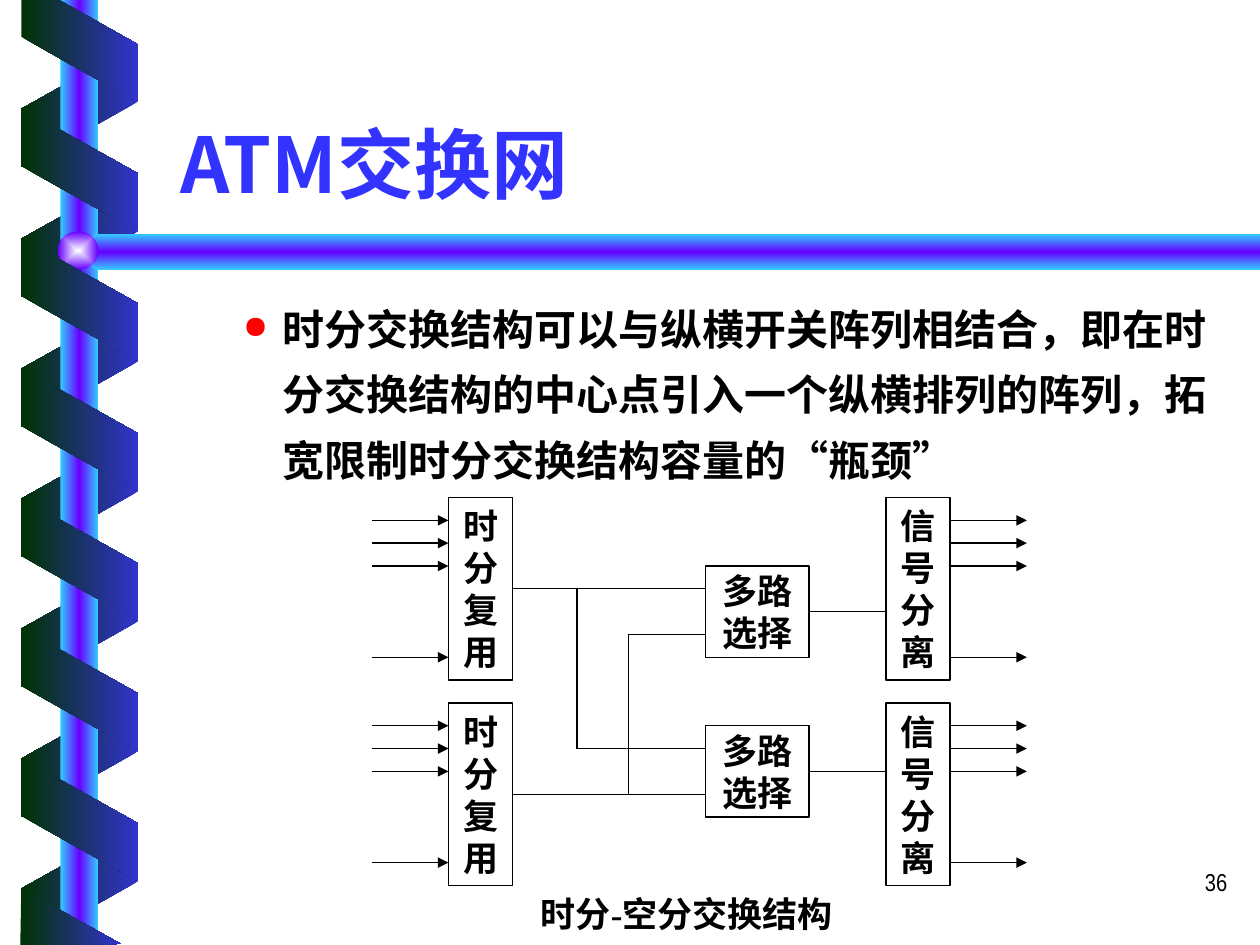
"""Build the slide on the time-space division structure of an ATM switching network."""
from lxml.etree import SubElement
from pptx import Presentation
from pptx.dml.color import RGBColor
from pptx.enum.shapes import MSO_CONNECTOR, MSO_SHAPE
from pptx.enum.text import MSO_ANCHOR, PP_ALIGN
from pptx.oxml import parse_xml
from pptx.oxml.ns import nsdecls, qn
from pptx.util import Cm, Pt

SANS = "Noto Sans CJK SC"
SERIF = "Times New Roman"
STRIPE = ["003300", "3333CC"]
POLE = ["33CCFF", "6600FF", "33CCFF"]
HORIZONTAL = '<a:lin ang="0" scaled="0"/>'
VERTICAL = '<a:lin ang="5400000" scaled="0"/>'
CENTRED = '<a:path path="rect"><a:fillToRect l="50000" t="50000" r="50000" b="50000"/></a:path>'


def color(value):
    return RGBColor.from_string(value)


def write(shape, lines, size, font, ink="000000", bold=True,
          align=PP_ALIGN.CENTER, anchor=MSO_ANCHOR.TOP, wrap=True):
    frame = shape.text_frame
    frame.word_wrap = wrap
    frame.vertical_anchor = anchor
    for number, line in enumerate(lines):
        paragraph = frame.add_paragraph() if number else frame.paragraphs[0]
        paragraph.alignment = align
        run = paragraph.add_run()
        run.text = line
        run.font.size = Pt(size)
        run.font.bold = bold
        run.font.name = font
        run.font.color.rgb = color(ink)
        SubElement(run.font._element, qn("a:ea")).set("typeface", SANS)
    return frame


presentation = Presentation()
presentation.slide_width = Cm(25.4)
presentation.slide_height = Cm(19.05)
slide = presentation.slides.add_slide(presentation.slide_layouts[6])
shapes = slide.shapes

# fmt: off
back_stripes = [(MSO_SHAPE.PARALLELOGRAM, 0.36, 0.94 + 2.62 * i, 2.49, 2.36, 90, STRIPE[::-1], HORIZONTAL)
                for i in range(7)]
front_stripes = [(MSO_SHAPE.PARALLELOGRAM, 0.36, 2.24 + 2.62 * i, 2.49, 2.36, 270, STRIPE, HORIZONTAL)
                 for i in range(6)]
pole = (MSO_SHAPE.RECTANGLE, 1.22, 0, 0.76, 19.05, 0, POLE, HORIZONTAL)
ball = (MSO_SHAPE.OVAL, 1.17, 4.67, 0.81, 0.76, 0, ["FEFFFF", "6600FF"], CENTRED)
bar = ([(25.4, 4.72), (1.93, 4.72), (1.52, 5.08), (1.93, 5.44), (25.4, 5.44)], POLE, VERTICAL)
top_stripe = ([(0.43, 0), (0.43, 0.74), (2.77, 2.06), (2.77, 0.89), (1.19, 0)], STRIPE, HORIZONTAL)
bottom_stripe = ([(2.44, 19.03), (0.43, 17.91), (0.41, 19.05)], STRIPE, HORIZONTAL)
# fmt: on

for part in back_stripes + [pole, bar, ball] + front_stripes + [top_stripe, bottom_stripe]:
    *outline, stops, direction = part
    if len(outline) == 1:
        points = [(Cm(x), Cm(y)) for x, y in outline[0]]
        builder = shapes.build_freeform(*points[0])
        builder.add_line_segments(points[1:], close=True)
        shape = builder.convert_to_shape()
    else:
        kind, left, top, width, height, rotation = outline
        shape = shapes.add_shape(kind, Cm(left), Cm(top), Cm(width), Cm(height))
        shape.rotation = rotation
        if kind == MSO_SHAPE.PARALLELOGRAM:
            shape.adjustments[0] = 0.56
        if rotation == 90:
            shape._element.spPr.find(qn("a:xfrm")).set("flipH", "1")
    shape.shadow.inherit = False
    shape.line.fill.background()
    shape.fill.background()
    stop_list = "".join(
        f'<a:gs pos="{100000 * i // (len(stops) - 1)}"><a:srgbClr val="{stop}"/></a:gs>'
        for i, stop in enumerate(stops))
    properties = shape._element.spPr
    properties.replace(properties.find(qn("a:noFill")), parse_xml(
        f'<a:gradFill {nsdecls("a")} rotWithShape="0"><a:gsLst>{stop_list}</a:gsLst>'
        f'{direction}</a:gradFill>'))

page_number = shapes.add_textbox(Cm(19.71), Cm(17.35), Cm(5.28), Cm(1.27))
write(page_number, ["36"], 14, "Arial Narrow", bold=False, align=PP_ALIGN.RIGHT)
title = shapes.add_textbox(Cm(3.38), Cm(1.17), Cm(21.59), Cm(3.17))
write(title, ["ATM交换网"], 44, SANS, "3333FF", align=PP_ALIGN.LEFT, anchor=MSO_ANCHOR.BOTTOM)
body = shapes.add_textbox(Cm(3.38), Cm(5.69), Cm(21.59), Cm(4.24))
statement = ("时分交换结构可以与纵横开关阵列相结合，即在时分交换结构的中心点引入一个"
             "纵横排列的阵列，拓宽限制时分交换结构容量的“瓶颈”")
paragraph = write(body, [statement], 24, SANS, align=PP_ALIGN.LEFT).paragraphs[0]
paragraph.level = 1
paragraph.line_spacing = 1.3
paragraph_properties = paragraph._p.get_or_add_pPr()
paragraph_properties.set("marL", str(Cm(2.06)))
paragraph_properties.set("indent", str(Cm(-0.79)))
bullet_color = SubElement(paragraph_properties, qn("a:buClr"))
SubElement(bullet_color, qn("a:srgbClr")).set("val", "FF0000")
SubElement(paragraph_properties, qn("a:buSzPct")).set("val", "75000")
SubElement(paragraph_properties, qn("a:buChar")).set("char", "●")

step = 0.46
row_tops = [10.03, 10.03 + 9 * step]
input_x, mux_x, mux_right = 7.49, 9.04, 10.34
down_x, up_x = 11.63, 12.67
selector_x, selector_right = 14.22, 16.31
demux_x, demux_right, output_x = 17.86, 19.15, 20.7
wires = []
for row_top, selector_top in zip(row_tops, [row_tops[0] + 3 * step, row_tops[1] + step]):
    boxes = []
    for left, right, top, steps, lines in [
            (mux_x, mux_right, row_top, 8, "时分复用"),
            (selector_x, selector_right, selector_top, 4, ["多路", "选择"]),
            (demux_x, demux_right, row_top, 8, "信号分离")]:
        box = shapes.add_shape(MSO_SHAPE.RECTANGLE, Cm(left), Cm(top),
                               Cm(right - left), Cm(steps * step))
        box.shadow.inherit = False
        box.fill.background()
        box.line.color.rgb = color("000000")
        box.line.width = Pt(0.75)
        write(box, lines, 20, SERIF, anchor=MSO_ANCHOR.MIDDLE, wrap=False)
        boxes.append(box)
    for offset in (1, 2, 3, 7):
        y = row_top + offset * step
        wires.append((input_x, y, mux_x, y, True, None))
        wires.append((demux_right, y, output_x, y, True, None))
    mux_y = row_top + 4 * step
    selector_y = selector_top + 2 * step
    wires.append((mux_right, mux_y, selector_x, mux_y, False, boxes[0]))
    wires.append((selector_right, selector_y, demux_x, selector_y, False, boxes[1]))

upper_y, lower_y = [top + 4 * step for top in row_tops]
up_y, down_y = row_tops[0] + 6 * step, row_tops[1] + 2 * step
wires += [(selector_x, up_y, up_x, up_y, False, None),
          (up_x, up_y, up_x, lower_y, False, None),
          (selector_x, down_y, down_x, down_y, False, None),
          (down_x, upper_y, down_x, down_y, False, None)]
for x1, y1, x2, y2, arrow, source in wires:
    wire = shapes.add_connector(MSO_CONNECTOR.STRAIGHT, Cm(x1), Cm(y1), Cm(x2), Cm(y2))
    if source is not None:
        wire.begin_connect(source, 3)
    wire.line.color.rgb = color("000000")
    wire.line.width = Pt(0.75)
    if arrow:
        SubElement(wire.line._get_or_add_ln(), qn("a:tailEnd")).set("type", "triangle")
    SubElement(wire._element.spPr, qn("a:effectLst"))

caption = shapes.add_textbox(Cm(9.83), Cm(17.86), Cm(8.03), Cm(1.12))
write(caption, ["时分-空分交换结构"], 20, SERIF)

presentation.save("out.pptx")
